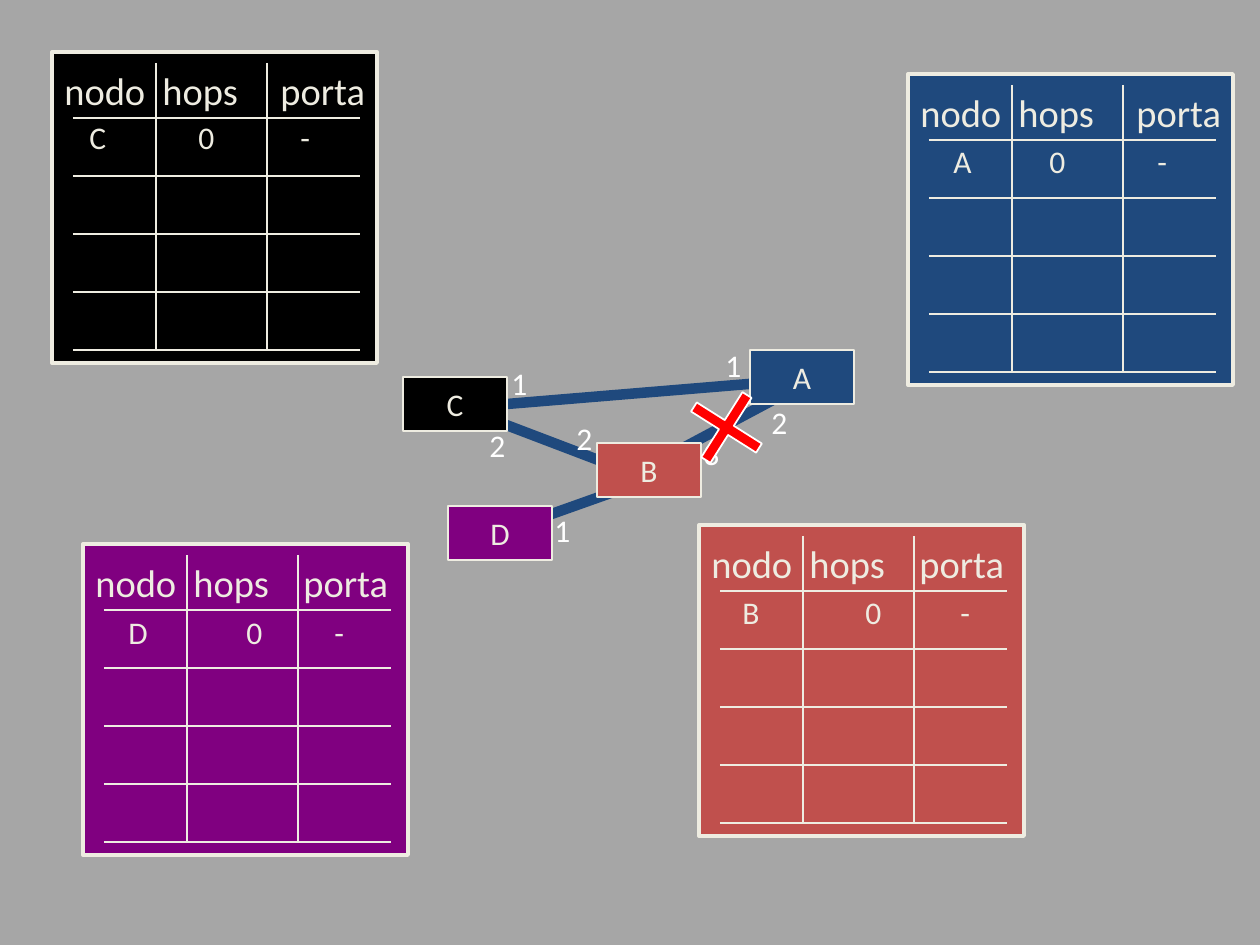
import pptx
import pptx.util
from lxml import etree
from pptx.dml.color import RGBColor
from pptx.enum.shapes import MSO_CONNECTOR, MSO_SHAPE
from pptx.enum.text import MSO_ANCHOR, PP_ALIGN
from pptx.oxml.ns import qn

PX = 914400 // 126

GREY = RGBColor(0xA6, 0xA6, 0xA6)
WHITE = RGBColor(0xFF, 0xFF, 0xFF)
CREAM = RGBColor(0xEE, 0xEC, 0xE1)
BLACK = RGBColor(0x00, 0x00, 0x00)
BLUE = RGBColor(0x1F, 0x49, 0x7D)
RED = RGBColor(0xC0, 0x50, 0x4D)
PURPLE = RGBColor(0x80, 0x00, 0x80)
CROSS_RED = RGBColor(0xFF, 0x00, 0x00)

NODE_COLOURS = {"A": BLUE, "B": RED, "C": BLACK, "D": PURPLE}

# node: panel corner, porta tab, row box (left, top, width), row tabs
ROUTING_TABLES = {
    "A": ((908, 74), 216, (33, 62, 244), (96, 204)),
    "B": ((699, 525), 208, (31, 62, 258), (123, 218)),
    "C": ((52, 52), 216, (25, 60, 251), (109, 211)),
    "D": ((83, 544), 208, (33, 63, 246), (118, 206)),
}
# Positions inside the network diagram
NODES = {"C": (0, 27), "A": (347, 0), "D": (45, 156), "B": (194, 93)}
LINKS = [
    (232, 124, 56, 57),
    (400, 34, 250, 114),
    (68, 57, 382, 31),
    (250, 128, 98, 182),
]
PORTS = [
    ("1", 96, 8), ("2", 74, 70), ("1", 139, 155), ("1", 310, -10),
    ("2", 161, 63), ("2", 356, 47), ("3", 288, 78),
]


def px(*lengths):
    return [length * PX for length in lengths]


def add_line(slide, x1, y1, x2, y2, colour, width):
    line = slide.shapes.add_connector(
        MSO_CONNECTOR.STRAIGHT, *px(x1, y1, x2, y2))
    line.line.color.rgb = colour
    line.line.width = pptx.util.Pt(width)
    etree.SubElement(line._element.spPr, qn("a:effectLst"))


def add_block(slide, kind, box, fill, outline, width):
    block = slide.shapes.add_shape(kind, *px(*box))
    block.shadow.inherit = False
    block.fill.solid()
    block.fill.fore_color.rgb = fill
    block.line.color.rgb = outline
    block.line.width = pptx.util.Pt(width)
    return block


def write(frame, text, size, colour, tabs=(), align=PP_ALIGN.LEFT):
    """Fill a frame with one line of text, with left tab stops in px."""
    frame.word_wrap = True
    frame.margin_right = 0
    paragraph = frame.paragraphs[0]
    paragraph.text = text
    paragraph.alignment = align
    if tabs:
        tab_list = etree.SubElement(
            paragraph._p.get_or_add_pPr(), qn("a:tabLst"))
        for position in tabs:
            etree.SubElement(
                tab_list, qn("a:tab"), pos=str(position * PX), algn="l")
    for run in paragraph.runs:
        run.font.name = "Calibri"
        run.font.size = pptx.util.Pt(size)
        run.font.color.rgb = colour


def add_label(slide, box, text, colour, tabs=()):
    label = slide.shapes.add_textbox(*px(*box))
    write(label.text_frame, text, 18, colour, tabs)


def add_routing_table(slide, node, corner, porta_tab, row_box, row_tabs):
    left, top = corner
    panel = add_block(slide, MSO_SHAPE.RECTANGLE, (left, top, 325, 311),
                      NODE_COLOURS[node], CREAM, 2.25)
    header = panel.text_frame
    header.vertical_anchor = MSO_ANCHOR.TOP
    header.margin_top = 15 * PX
    write(header, "nodo\thops\tporta", 22, CREAM, (98, porta_tab))
    for x in (104, 215):
        add_line(slide, left + x, top + 11, left + x, top + 299, CREAM, 1)
    for row in range(5):
        y = top + 66 + 58 * row
        add_line(slide, left + 21, y, left + 308, y, CREAM, 1)
    x, y, width = row_box
    add_label(slide, (left + x, top + y, width, 50), f"{node}\t0\t-",
              CREAM, row_tabs)


def add_network(slide, left, top):
    for x1, y1, x2, y2 in LINKS:
        add_line(slide, left + x1, top + y1, left + x2, top + y2, BLUE, 6)
    for node, (x, y) in NODES.items():
        router = add_block(slide, MSO_SHAPE.RECTANGLE,
                           (left + x, top + y, 104, 54),
                           NODE_COLOURS[node], CREAM, 1)
        router.text_frame.margin_left = 0
        router.text_frame.vertical_anchor = MSO_ANCHOR.MIDDLE
        write(router.text_frame, node, 18, CREAM, align=PP_ALIGN.CENTER)
    for port, x, y in PORTS:
        add_label(slide, (left + x, top + y, 42, 50), port, WHITE)
    broken_link = add_block(slide, MSO_SHAPE.CROSS,
                            (left + 285, top + 39, 77, 77),
                            CROSS_RED, WHITE, 1)
    broken_link.adjustments[0] = 0.43
    broken_link.rotation = 302.3


def main():
    deck = pptx.Presentation()
    deck.slide_width = pptx.util.Inches(10)
    deck.slide_height = pptx.util.Inches(7.5)
    slide = deck.slides.add_slide(deck.slide_layouts[6])
    slide.background.fill.solid()
    slide.background.fill.fore_color.rgb = GREY
    for node, layout in ROUTING_TABLES.items():
        add_routing_table(slide, node, *layout)
    add_network(slide, 403, 350)
    deck.save("out.pptx")


if __name__ == "__main__":
    main()
